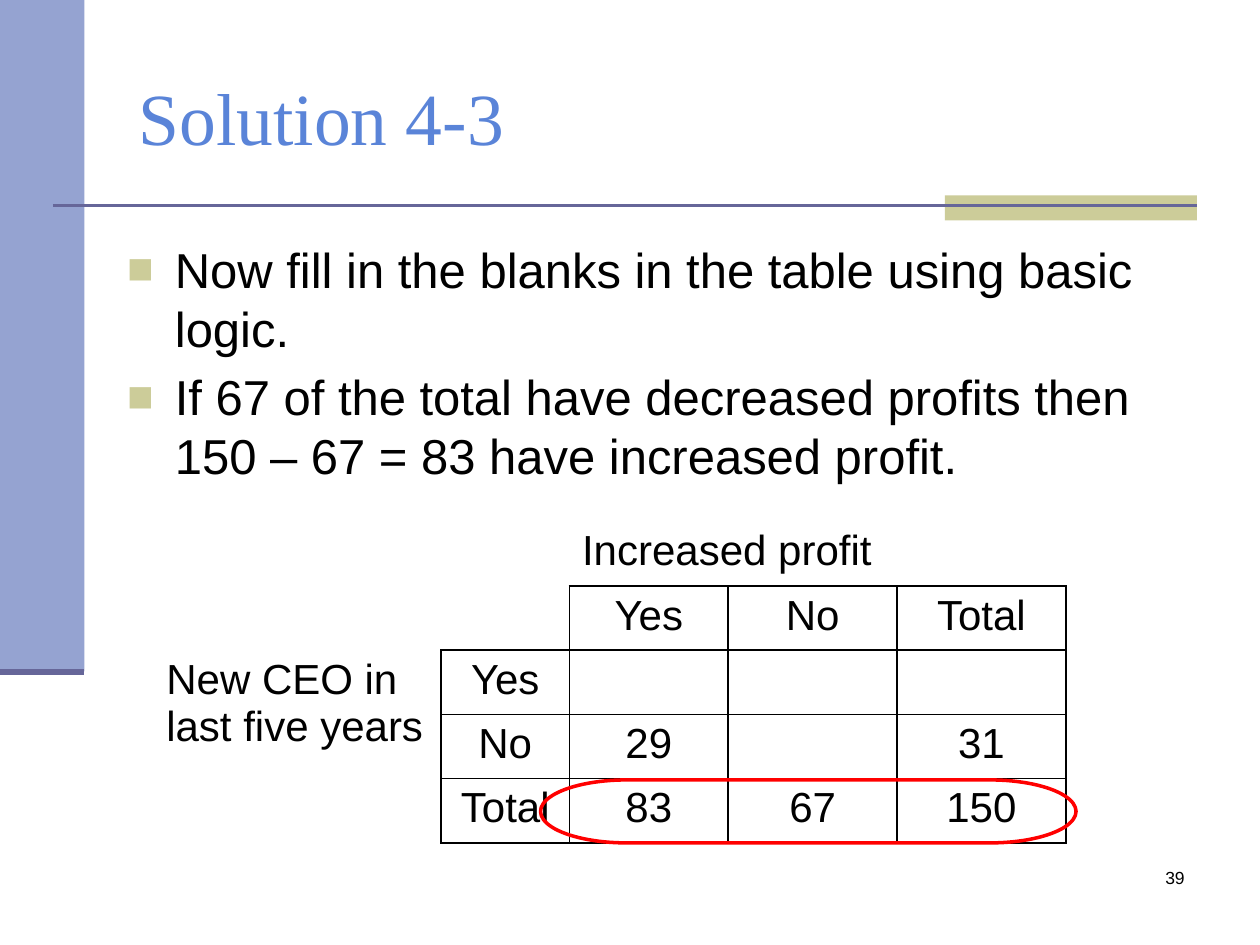
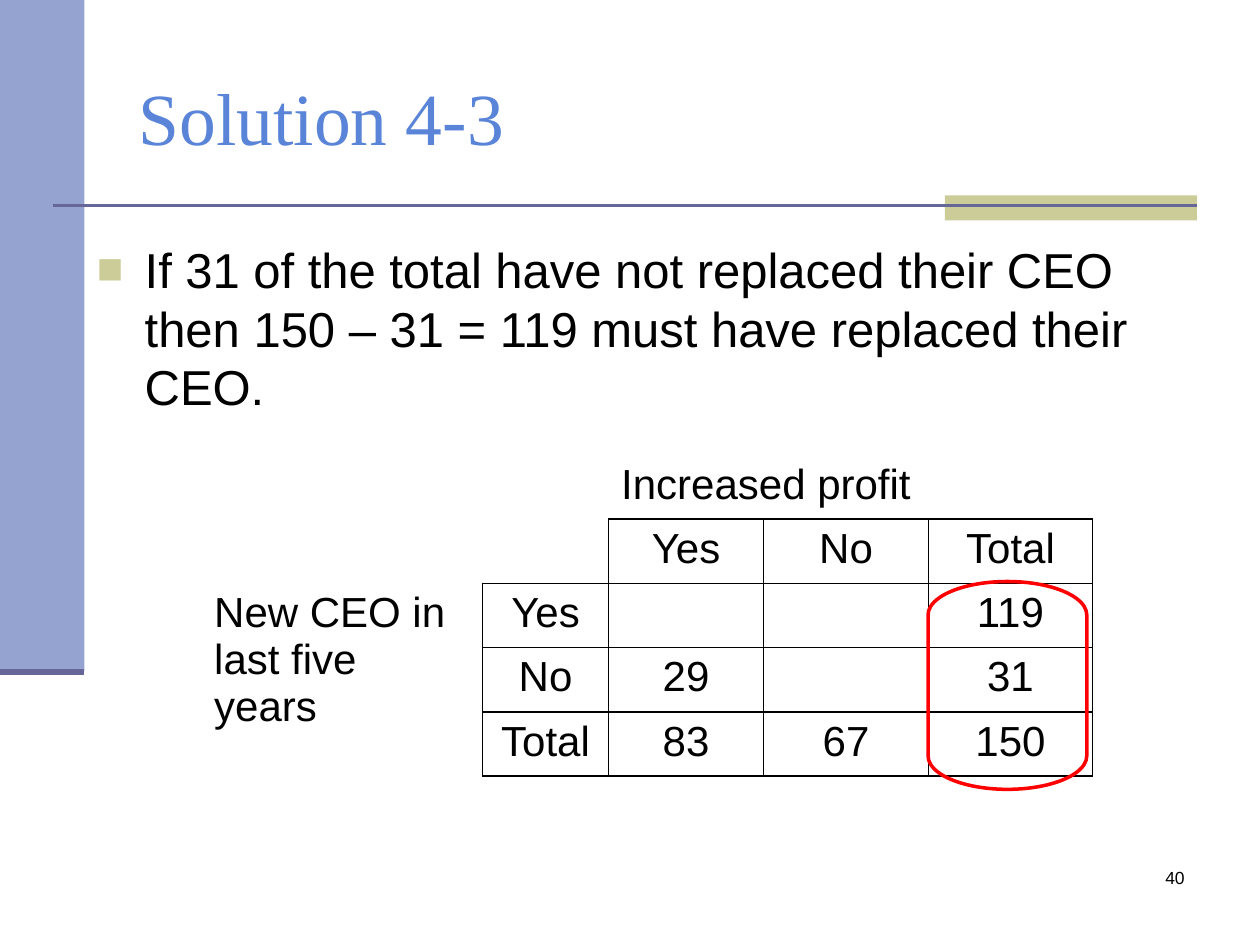
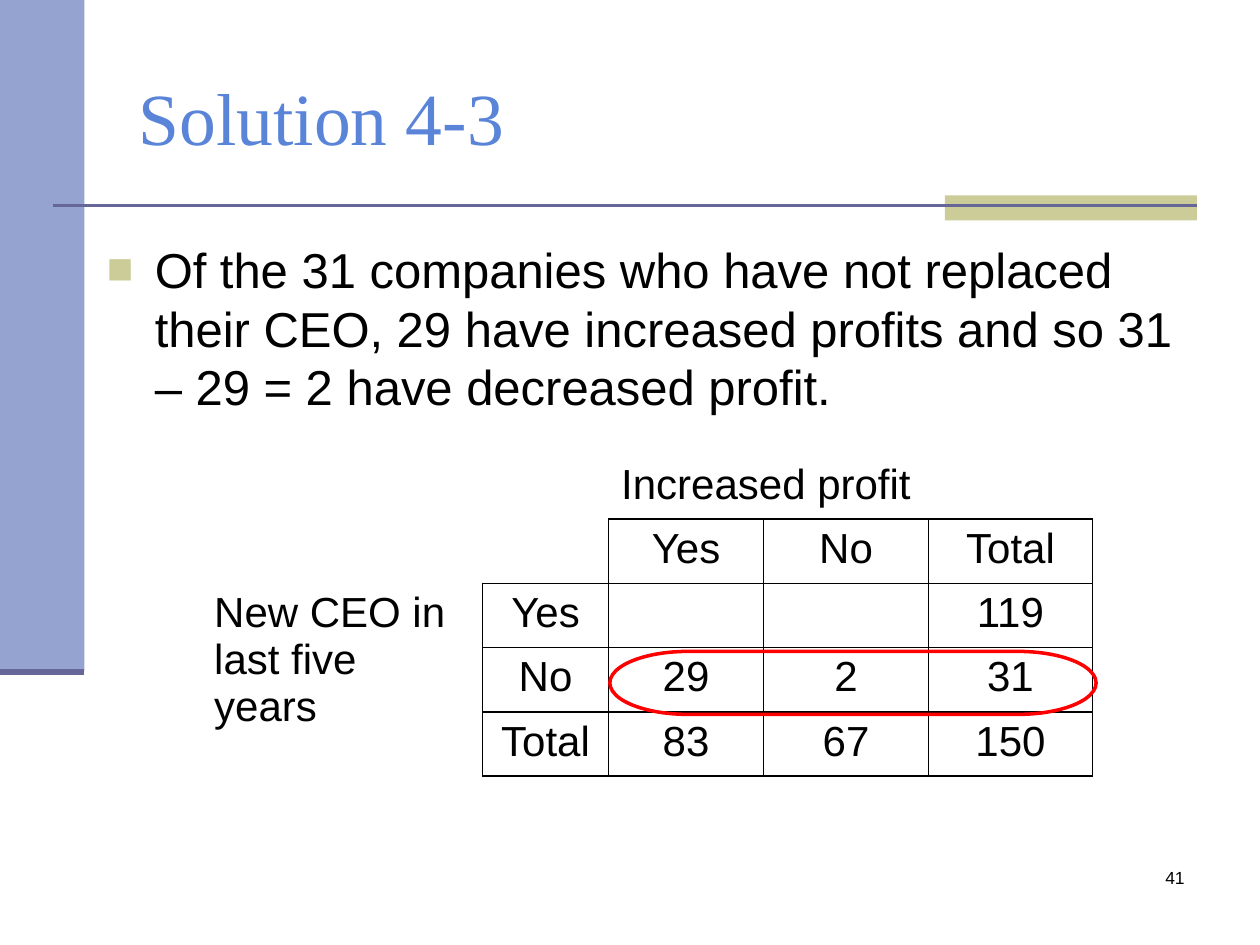
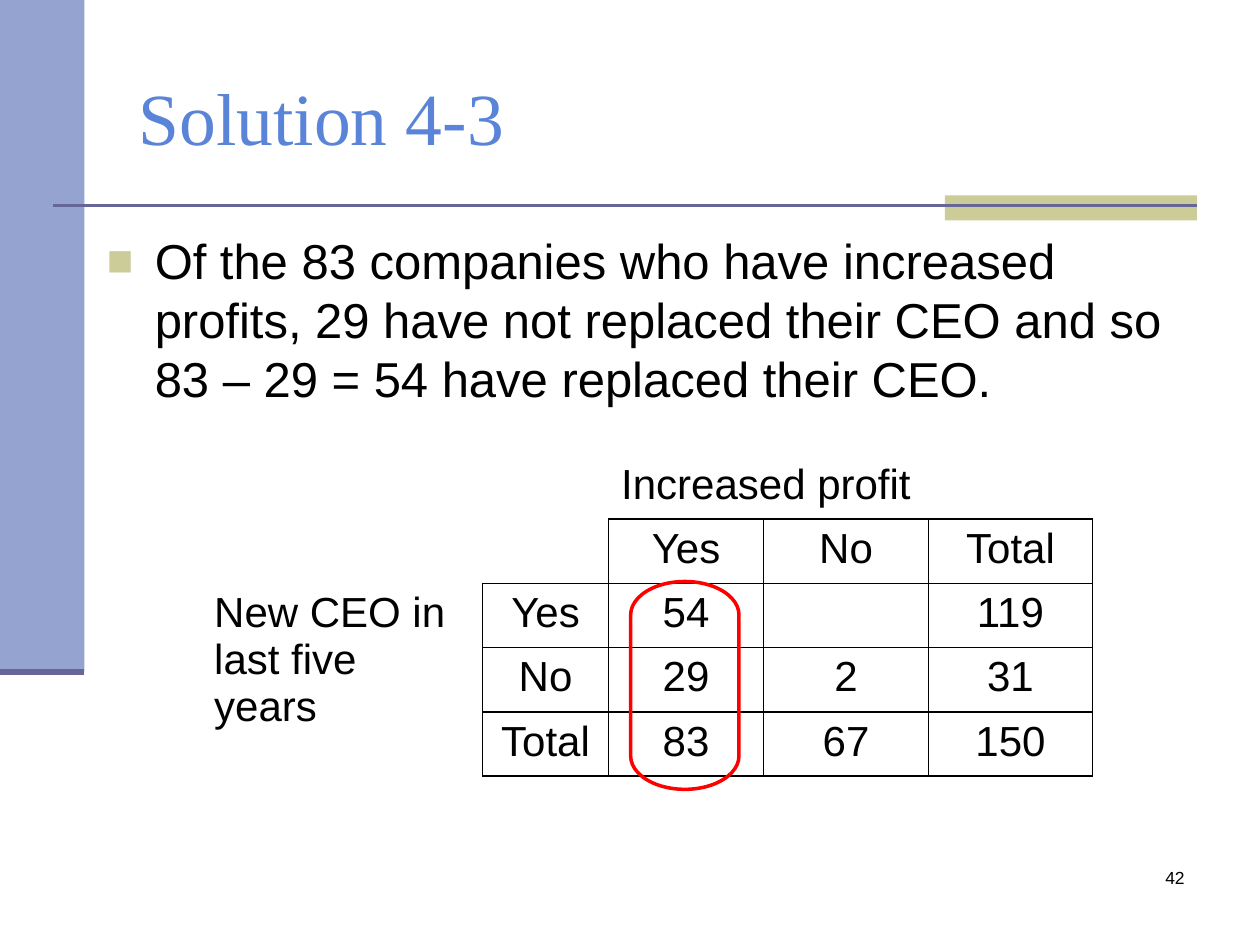
from lxml.etree import SubElement
from pptx import Presentation
from pptx.dml.color import RGBColor
from pptx.enum.shapes import MSO_CONNECTOR, MSO_SHAPE
from pptx.enum.text import MSO_ANCHOR, MSO_AUTO_SIZE, PP_ALIGN
from pptx.oxml.ns import qn
from pptx.util import Pt

SCALE = 9144
BLACK, BLUE, BAND, SAND, RULE, RED = (
    "000000", "5A84D8", "95A3D1", "CCCC99", "666699", "FF0000")
TITLE = {"name": "Times New Roman", "size": Pt(42), "color": BLUE}
BODY = {"name": "Arial", "size": Pt(28), "color": BLACK}
CELL = {"name": "Arial", "size": Pt(24), "color": BLACK}
FOOT = {"name": "Arial", "size": Pt(10), "color": BLACK}


def px(*sizes):
    return [size * SCALE for size in sizes]


def tint(code):
    return RGBColor.from_string(code)


def style(font, look):
    for key, value in look.items():
        if key == "color":
            font.color.rgb = tint(value)
        else:
            setattr(font, key, value)


def framed(row, col):
    return row >= 1 and col >= 1 and row + col > 2


class Deck:
    def __init__(self):
        self.file = Presentation()
        self.file.slide_width, self.file.slide_height = px(1000, 750)
        self.slide = None

    def start(self, title, number):
        self.slide = self.file.slides.add_slide(self.file.slide_layouts[5])
        self.block(BAND, 0, 0, 67, 533)
        self.block(SAND, 750, 155, 200, 20)
        self.line(1.5, 42, 163, 950, 163)
        self.line(3.5, 0, 533, 67, 533)
        self.title(title)
        self.text([str(number)], FOOT, PP_ALIGN.RIGHT, 742, 683, 208, 50)

    def shape(self, kind, box):
        item = self.slide.shapes.add_shape(kind, *px(*box))
        item.shadow.inherit = False
        return item

    def block(self, color, *box):
        item = self.shape(MSO_SHAPE.RECTANGLE, box)
        item.fill.solid()
        item.fill.fore_color.rgb = tint(color)
        item.line.fill.background()

    def ring(self, box, turn=0):
        item = self.shape(MSO_SHAPE.FLOWCHART_TERMINATOR, box)
        item.rotation = turn
        item.fill.background()
        item.line.color.rgb = tint(RED)
        item.line.width = Pt(2)

    def line(self, width, *ends):
        item = self.slide.shapes.add_connector(MSO_CONNECTOR.STRAIGHT, *px(*ends))
        item.line.color.rgb = tint(RULE)
        item.line.width = Pt(width)
        SubElement(item._element.spPr, qn("a:effectLst"))

    def title(self, words):
        item = self.slide.shapes.title
        item.left, item.top, item.width, item.height = px(100, 30, 850, 125)
        frame = item.text_frame
        frame.text = words
        frame.auto_size = MSO_AUTO_SIZE.NONE
        frame.vertical_anchor = MSO_ANCHOR.MIDDLE
        para = frame.paragraphs[0]
        para.alignment = PP_ALIGN.LEFT
        style(para.font, TITLE)

    def text(self, parts, look, align, *box):
        frame = self.slide.shapes.add_textbox(*px(*box)).text_frame
        frame.word_wrap = True
        frame.text = "\n".join(parts)
        for para in frame.paragraphs:
            para.alignment = align
            style(para.font, look)
        return frame

    def points(self, parts, *box):
        frame = self.text(parts, {}, PP_ALIGN.LEFT, *box)
        for index, para in enumerate(frame.paragraphs):
            if index:
                para.space_before = Pt(5.6)
            self.bullet(para)
            style(para.font, BODY)

    def bullet(self, para):
        props = para._p.get_or_add_pPr()
        indent = px(38)[0]
        for key, value in {"marL": indent, "indent": -indent}.items():
            props.set(key, str(value))
        color = SubElement(props, qn("a:buClr"))
        SubElement(color, qn("a:srgbClr"), val=SAND)
        SubElement(props, qn("a:buSzPct"), val="90000")
        SubElement(props, qn("a:buFont"), typeface="Arial")
        SubElement(props, qn("a:buChar"), char="■")

    def table(self, values, left, top, widths):
        rows = [["", "", "Increased profit", "", ""],
                ["", "", "Yes", "No", "Total"]]
        sides = ["New CEO in last five years", "", ""]
        for side, name, line in zip(sides, ["Yes", "No", "Total"], values):
            rows.append([side, name, *line])
        box = px(left, top, sum(widths), 51 * len(rows))
        grid = self.slide.shapes.add_table(len(rows), len(widths), *box).table
        grid.first_row = grid.horz_banding = False
        for col, width in zip(grid.columns, px(*widths)):
            col.width = width
        for row, line in enumerate(rows):
            for col, words in enumerate(line):
                self.cell(grid.cell(row, col), words, row, col)
        grid.cell(0, 2).merge(grid.cell(0, 3))
        grid.cell(2, 0).merge(grid.cell(4, 0))

    def cell(self, cell, words, row, col):
        near = {"L": (0, -1), "R": (0, 1), "T": (-1, 0), "B": (1, 0)}
        props = cell._tc.get_or_add_tcPr()
        for edge, (down, over) in near.items():
            line = SubElement(props, qn(f"a:ln{edge}"), w=str(Pt(1)))
            if framed(row, col) or framed(row + down, col + over):
                fill = SubElement(line, qn("a:solidFill"))
                SubElement(fill, qn("a:srgbClr"), val=BLACK)
            else:
                SubElement(line, qn("a:noFill"))
        cell.fill.background()
        cell.text = words
        para = cell.text_frame.paragraphs[0]
        para.alignment = PP_ALIGN.CENTER if framed(row, col) or row == 1 else PP_ALIGN.LEFT
        style(para.font, CELL)


def main():
    wide = (122, 414, [228, 102, 126, 134, 134])
    slim = (160, 361, [223, 100, 123, 131, 130])
    total = ["83", "67", "150"]
    pages = [
        (["Now fill in the blanks in the table using basic logic.",
          "If 67 of the total have decreased profits then 150 – 67 = 83 have increased profit."],
         (91, 185, 882, 206), wide,
         [["", "", ""], ["29", "", "31"], total],
         ((429, 619, 425, 50),)),
        (["If 31 of the total have not replaced their CEO then 150 – 31 = 119 must have replaced their CEO."],
         (67, 185, 882, 150), slim,
         [["", "", "119"], ["29", "", "31"], total],
         ((717, 481, 165, 126), 90)),
        (["Of the 31 companies who have not replaced their CEO, 29 have increased profits and so 31 – 29 = 2 have decreased profit."],
         (75, 185, 882, 150), slim,
         [["", "", "119"], ["29", "2", "31"], total],
         ((484, 517, 386, 50),)),
        (["Of the 83 companies who have increased profits, 29 have not replaced their CEO and so 83 – 29 = 54 have replaced their CEO."],
         (75, 178, 882, 150), slim,
         [["54", "", "119"], ["29", "2", "31"], total],
         ((461, 501, 165, 86), 90)),
    ]
    deck = Deck()
    for number, (parts, box, place, values, ring) in enumerate(pages, 39):
        deck.start("Solution 4-3", number)
        deck.points(parts, *box)
        deck.table(values, *place)
        deck.ring(*ring)
    deck.file.save("out.pptx")


if __name__ == "__main__":
    main()
